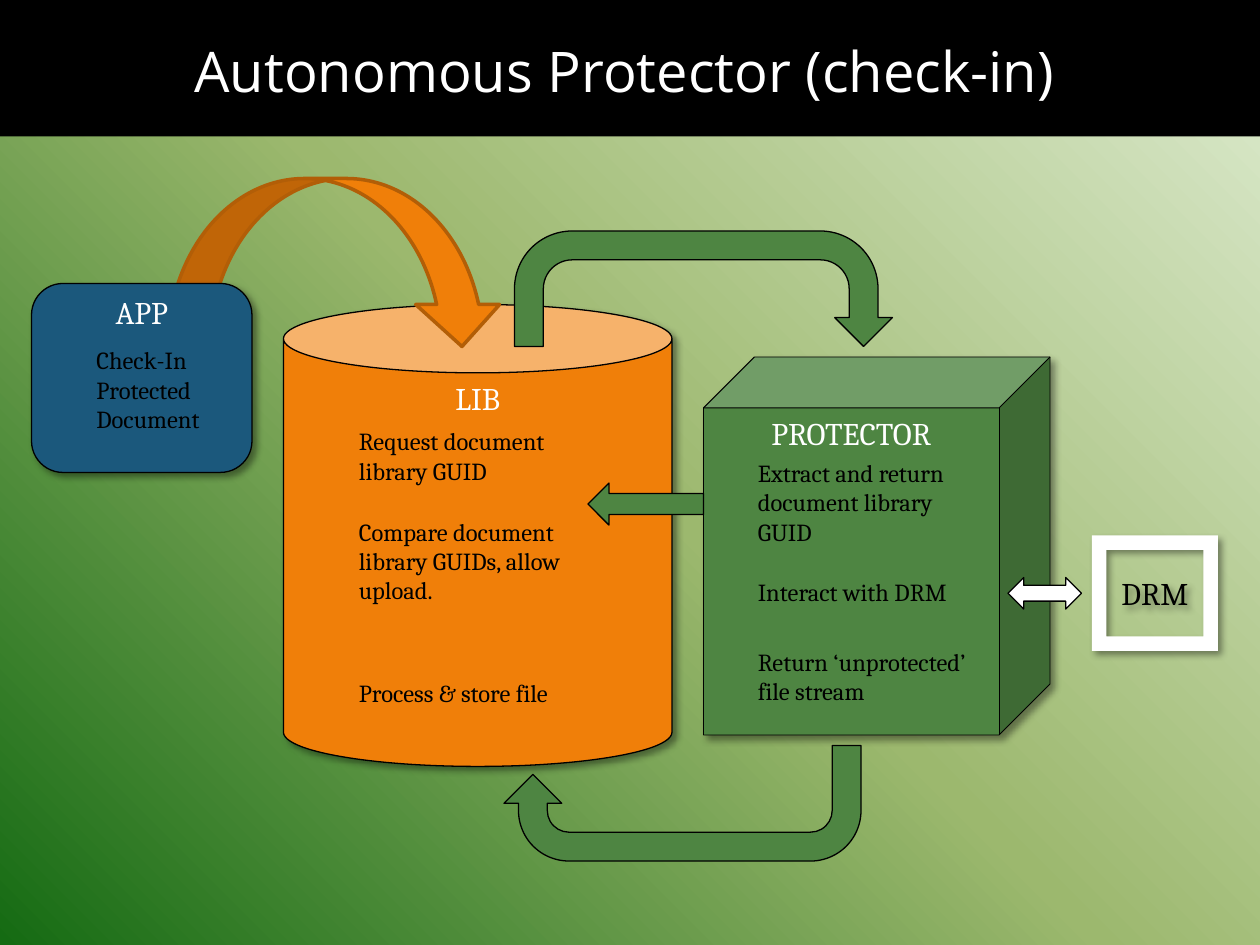
from lxml import etree
from pptx import Presentation, util as u
from pptx.dml.color import RGBColor
from pptx.enum import shapes, text
from pptx.oxml.ns import nsdecls, qn

PX = 7620
KIND = shapes.MSO_SHAPE
FONT = "Cambria"
HUE = {
    "black": "000000", "white": "FFFFFF", "orange": "F07F09",
    "rust": "B25E07", "green": "4E8542", "blue": "1B587C",
}
FADE = [(0, "DDEBCF"), (50, "9CB86E"), (100, "156B13")]


def place(box):
    """Turn a box in px into EMU."""
    return [u.Emu(n * PX) for n in box]


def tint(name):
    """Return a named colour."""
    return RGBColor.from_string(HUE[name])


def paint(slide):
    """Fill the background with a slanted gradient."""
    fill = slide.background.fill
    fill.gradient()
    grad = slide._element.find(".//" + qn("a:gradFill"))
    stops = "".join(
        f'<a:gs pos="{pos * 1000}"><a:srgbClr val="{hue}"/></a:gs>'
        for pos, hue in FADE)
    new = etree.fromstring(
        f'<a:gradFill {nsdecls("a")} rotWithShape="1"><a:gsLst>{stops}</a:gsLst>'
        '<a:lin ang="8100000" scaled="0"/></a:gradFill>')
    grad.getparent().replace(grad, new)


def shade(shape):
    """Cast a soft shadow to the lower right."""
    shape.shadow.inherit = False
    list_ = shape._element.spPr.find(qn("a:effectLst"))
    list_.append(etree.fromstring(
        f'<a:outerShdw {nsdecls("a")} blurRad="50800" dist="38100" dir="2700000" '
        'algn="tl" rotWithShape="0"><a:srgbClr val="000000">'
        '<a:alpha val="40000"/></a:srgbClr></a:outerShdw>'))


def write(frame, lines, size, hue, align=text.PP_ALIGN.LEFT, font=FONT):
    """Set one paragraph for each line."""
    for i, line in enumerate(lines):
        para = frame.paragraphs[0] if i == 0 else frame.add_paragraph()
        para.alignment = align
        run = para.add_run()
        run.text = line
        run.font.size = u.Pt(size)
        run.font.name = font
        run.font.color.rgb = tint(hue)


def form(slide, kind, box, fill, line=None, width=0.75, adj=(), turn=0):
    """Draw a preset shape."""
    shape = slide.shapes.add_shape(kind, *place(box))
    shape.shadow.inherit = False
    shape.rotation = turn
    shape.fill.solid()
    shape.fill.fore_color.rgb = tint(fill)
    if line:
        shape.line.color.rgb = tint(line)
        shape.line.width = u.Pt(width)
    else:
        shape.line.fill.background()
    for i, val in enumerate(adj):
        shape.adjustments[i] = val
    return shape


def block(slide, kind, box, fill, name, hue="white", anchor="TOP", **style):
    """Draw a shadowed shape with its name inside."""
    shape = form(slide, kind, box, fill, **style)
    shade(shape)
    frame = shape.text_frame
    frame.word_wrap = True
    frame.vertical_anchor = text.MSO_ANCHOR[anchor]
    write(frame, [name], 18, hue, text.PP_ALIGN.CENTER)
    return shape


def note(slide, box, *lines, wrap=True):
    """Add a step as a text box."""
    frame = slide.shapes.add_textbox(*place(box)).text_frame
    frame.word_wrap = wrap
    frame.auto_size = text.MSO_AUTO_SIZE.SHAPE_TO_FIT_TEXT
    write(frame, lines, 14, "black")


def head(slide):
    """Add the title on its black band."""
    form(slide, KIND.RECTANGLE, (0, 0, 1200, 130), "black")
    frame = slide.shapes.add_textbox(*place((20, 20, 1150, 94))).text_frame
    frame.word_wrap = True
    frame.vertical_anchor = text.MSO_ANCHOR.MIDDLE
    write(frame, ["Autonomous Protector (check-in)"], 32, "white",
          text.PP_ALIGN.CENTER, "Open Sans")


def store(slide):
    """Add the library can and its steps."""
    block(slide, KIND.CAN, (270, 290, 370, 440), "orange", "LIB",
          line="black", adj=[0.176])
    note(slide, (330, 400, 220, 68), "Request document library GUID")
    note(slide, (330, 486, 250, 97), "Compare document library GUIDs, allow upload.")
    note(slide, (330, 640, 230, 41), "Process & store file")


def guard(slide):
    """Add the protector cube and its steps."""
    block(slide, KIND.CUBE, (670, 340, 330, 360), "green", "PROTECTOR",
          line="black", width=0.5, adj=[0.147])
    note(slide, (710, 430, 230, 97), "Extract and return document library GUID")
    note(slide, (710, 544, 240, 41), "Interact with DRM")
    note(slide, (710, 610, 260, 68), "Return ‘unprotected’", "file stream")


def client(slide):
    """Add the app box and its step."""
    app = block(slide, KIND.ROUNDED_RECTANGLE, (30, 270, 210, 180), "blue",
                "APP", line="black")
    app.text_frame.margin_top = 0
    note(slide, (80, 323, 134, 97), "Check-In", "Protected", "Document", wrap=False)


def main():
    """Build the slide and save it."""
    deck = Presentation()
    deck.slide_width, deck.slide_height = place((1200, 900))
    slide = deck.slides.add_slide(deck.slide_layouts[6])
    paint(slide)
    head(slide)
    block(slide, KIND.FRAME, (1040, 510, 120, 110), "white", "DRM", "black", "MIDDLE")
    store(slide)
    guard(slide)
    form(slide, KIND.LEFT_ARROW, (560, 460, 110, 40), "green", "black")
    form(slide, KIND.U_TURN_ARROW, (480, 710, 340, 110), "green", "black", turn=180)
    form(slide, KIND.CURVED_DOWN_ARROW, (160, 170, 320, 160), "orange", "rust", 2)
    client(slide)
    form(slide, KIND.LEFT_RIGHT_ARROW, (960, 550, 70, 30), "white", "black")
    form(slide, KIND.U_TURN_ARROW, (490, 220, 360, 110), "green", "black",
         adj=[0.25, 0.25, 0.25, 0.5, 1])
    deck.save("out.pptx")


if __name__ == "__main__":
    main()
